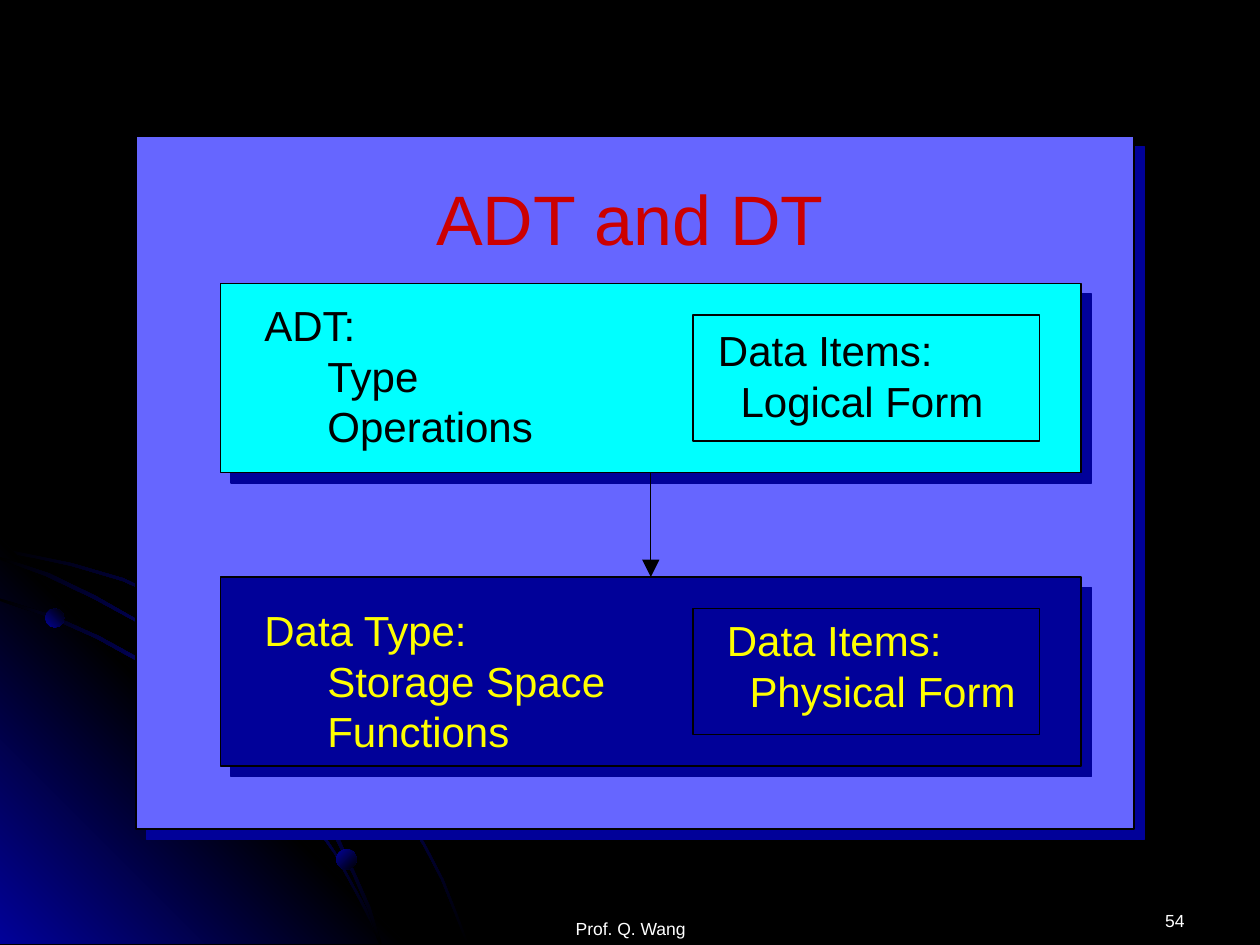
from lxml.etree import SubElement
from pptx import Presentation
from pptx.dml.color import RGBColor
from pptx.enum.shapes import MSO_CONNECTOR, MSO_SHAPE
from pptx.enum.text import MSO_ANCHOR, PP_ALIGN
from pptx.oxml import parse_xml
from pptx.oxml.ns import nsdecls, qn
from pptx.util import Inches, Pt

COLORS = {
    "black": "000000",
    "navy": "010199",
    "panel": "6666FF",
    "cyan": "00FFFF",
    "yellow": "FFFF00",
    "red": "CC0000",
    "white": "FFFFFF",
}

presentation = Presentation()
presentation.slide_width = Inches(10)
presentation.slide_height = Inches(7.5)
slide = presentation.slides.add_slide(presentation.slide_layouts[6])
slide.background.fill.solid()
slide.background.fill.fore_color.rgb = RGBColor.from_string(COLORS["black"])


def style_gradient(shape, names, angle):
    """Fill with evenly spaced colours; the angle runs clockwise in degrees."""
    shape.shadow.inherit = False
    shape.line.fill.background()
    stops = "".join(
        f'<a:gs pos="{100000 * index // (len(names) - 1)}">'
        f'<a:srgbClr val="{COLORS[name]}"/></a:gs>'
        for index, name in enumerate(names)
    )
    gradient = parse_xml(
        f'<a:gradFill {nsdecls("a")} rotWithShape="1"><a:gsLst>{stops}</a:gsLst>'
        f'<a:lin ang="{angle * 60000}" scaled="0"/></a:gradFill>'
    )
    shape.element.spPr.find(qn("a:ln")).addprevious(gradient)


def add_text(box, lines, size, color, align=PP_ALIGN.LEFT, indent=0, anchor=MSO_ANCHOR.TOP):
    """Write lines in a text box; all lines after the first are indented."""
    frame = slide.shapes.add_textbox(*map(Inches, box)).text_frame
    frame.word_wrap = True
    frame.vertical_anchor = anchor
    for index, line in enumerate(lines):
        paragraph = frame.paragraphs[0] if index == 0 else frame.add_paragraph()
        paragraph.text = line
        paragraph.alignment = align
        if index:
            properties = paragraph._p.get_or_add_pPr()
            properties.set("marL", str(Inches(indent)))
            properties.set("indent", "0")
        paragraph.font.name = "Arial"
        paragraph.font.size = Pt(size)
        paragraph.font.color.rgb = RGBColor.from_string(COLORS[color])


# Background corner and arcs
ARC_STOPS = ("black", "navy", "black")
CORNER_STOPS = ("navy", "black", "navy")
decorations = [
    (ARC_STOPS, 45, [
        (0.57, 4.47), (0.28, 4.41), (0, 4.35), (0, 4.38), (0.28, 4.43), (0.56, 4.49),
        (0.97, 4.61), (1.35, 4.78), (1.73, 4.99), (2.08, 5.23), (2.41, 5.49), (2.71, 5.79),
        (2.98, 6.12), (3.23, 6.49), (3.37, 6.73), (3.5, 6.98), (3.6, 7.23), (3.7, 7.49),
        (3.72, 7.49), (3.62, 7.23), (3.52, 6.98), (3.39, 6.73), (3.25, 6.48), (3, 6.11),
        (2.72, 5.78), (2.42, 5.48), (2.09, 5.21), (1.74, 4.97), (1.36, 4.77), (0.98, 4.59),
    ]),
    (CORNER_STOPS, 315, [(3.22, 7.49), (0, 7.49), (0, 4.27)]),
    (ARC_STOPS, 45, [
        (2.85, 7.14), (2.94, 7.32), (3.01, 7.49), (3.03, 7.49), (2.96, 7.3), (2.86, 7.12),
        (2.66, 6.76), (2.42, 6.4), (2.15, 6.06), (1.84, 5.76), (1.52, 5.49), (1.17, 5.26),
        (0.79, 5.05), (0.41, 4.88), (0, 4.75), (0, 4.77), (0.39, 4.9), (0.77, 5.07),
        (1.15, 5.28), (1.5, 5.51), (1.83, 5.78), (2.13, 6.08), (2.4, 6.42), (2.65, 6.77),
    ]),
    (ARC_STOPS, 45, [
        (0, 4.42), (0, 4.44), (0.36, 4.57), (0.74, 4.75), (1.09, 4.94), (1.42, 5.18),
        (1.73, 5.44), (2.02, 5.75), (2.27, 6.05), (2.52, 6.41), (2.67, 6.67), (2.8, 6.94),
        (2.92, 7.22), (3.01, 7.49), (3.03, 7.49), (2.94, 7.2), (2.82, 6.93), (2.69, 6.65),
        (2.54, 6.39), (2.29, 6.03), (2.04, 5.73), (1.75, 5.43), (1.44, 5.16), (1.11, 4.93),
        (0.76, 4.73), (0.39, 4.55),
    ]),
]
for names, angle, points in decorations:
    corners = [(Inches(x), Inches(y)) for x, y in points]
    builder = slide.shapes.build_freeform(*corners[0])
    builder.add_line_segments(corners[1:], close=True)
    style_gradient(builder.convert_to_shape(), names, angle)

# Beads on the arcs
for left, top, size, angle in [(0.36, 4.83, 0.15, 315), (2.67, 6.74, 0.16, 45)]:
    bead = slide.shapes.add_shape(
        MSO_SHAPE.OVAL, Inches(left), Inches(top), Inches(size), Inches(size))
    style_gradient(bead, ("navy", "black"), angle)

# Panel, type boxes and item frames
rectangles = {}
for name, box, color in [
    ("panel", (1.08, 1.08, 7.92, 5.5), "panel"),
    ("abstract type", (1.75, 2.25, 6.83, 1.5), "cyan"),
    ("data type", (1.75, 4.58, 6.83, 1.5), "navy"),
    ("logical items", (5.5, 2.5, 2.75, 1), None),
    ("physical items", (5.5, 4.83, 2.75, 1), None),
]:
    shape = slide.shapes.add_shape(MSO_SHAPE.RECTANGLE, *map(Inches, box))
    shape.shadow.inherit = False
    shape.line.color.rgb = RGBColor.from_string(COLORS["black"])
    shape.line.width = Pt(0.75)
    if color:
        shape.fill.solid()
        shape.fill.fore_color.rgb = RGBColor.from_string(COLORS[color])
        effects = shape.element.spPr.find(qn("a:effectLst"))
        shadow = SubElement(effects, qn("a:outerShdw"), dist=str(Pt(8.5)),
                            dir="2700000", algn="ctr", rotWithShape="0")
        SubElement(shadow, qn("a:srgbClr"), val=COLORS["navy"])
    else:
        shape.fill.background()
    rectangles[name] = shape

# Arrow from abstract type to data type
arrow = slide.shapes.add_connector(
    MSO_CONNECTOR.STRAIGHT, Inches(5.17), Inches(3.75), Inches(5.17), Inches(4.58))
arrow.begin_connect(rectangles["abstract type"], 2)
arrow.end_connect(rectangles["data type"], 0)
arrow.line.color.rgb = RGBColor.from_string(COLORS["black"])
arrow.line.width = Pt(0.75)
SubElement(arrow.line._get_or_add_ln(), qn("a:tailEnd"), type="triangle", w="lg", len="lg")
SubElement(arrow._element.spPr, qn("a:effectLst"))

# Title and box text
add_text((2.75, 1.34, 4.5, 0.7), ["ADT and DT"], 40, "red", PP_ALIGN.CENTER)
add_text((2, 2.33, 2.75, 1.3), ["ADT:", "Type", "Operations"], 24, "black", indent=0.5)
add_text((5.6, 2.53, 2.74, 0.9), ["Data Items:", "Logical Form"], 24, "black", indent=0.18)
add_text((2, 4.75, 3.3, 1.3), ["Data Type:", "Storage Space", "Functions"], 24, "yellow",
         indent=0.5)
add_text((5.67, 4.83, 2.75, 0.9), ["Data Items:", "Physical Form"], 24, "yellow", indent=0.18)

# Footer and slide number
add_text((3.42, 7, 3.17, 0.5), ["Prof. Q. Wang"], 10, "white", PP_ALIGN.CENTER,
         anchor=MSO_ANCHOR.BOTTOM)
add_text((7.17, 7.17, 2.33, 0.33), ["54"], 10, "white", PP_ALIGN.RIGHT)

presentation.save("out.pptx")
